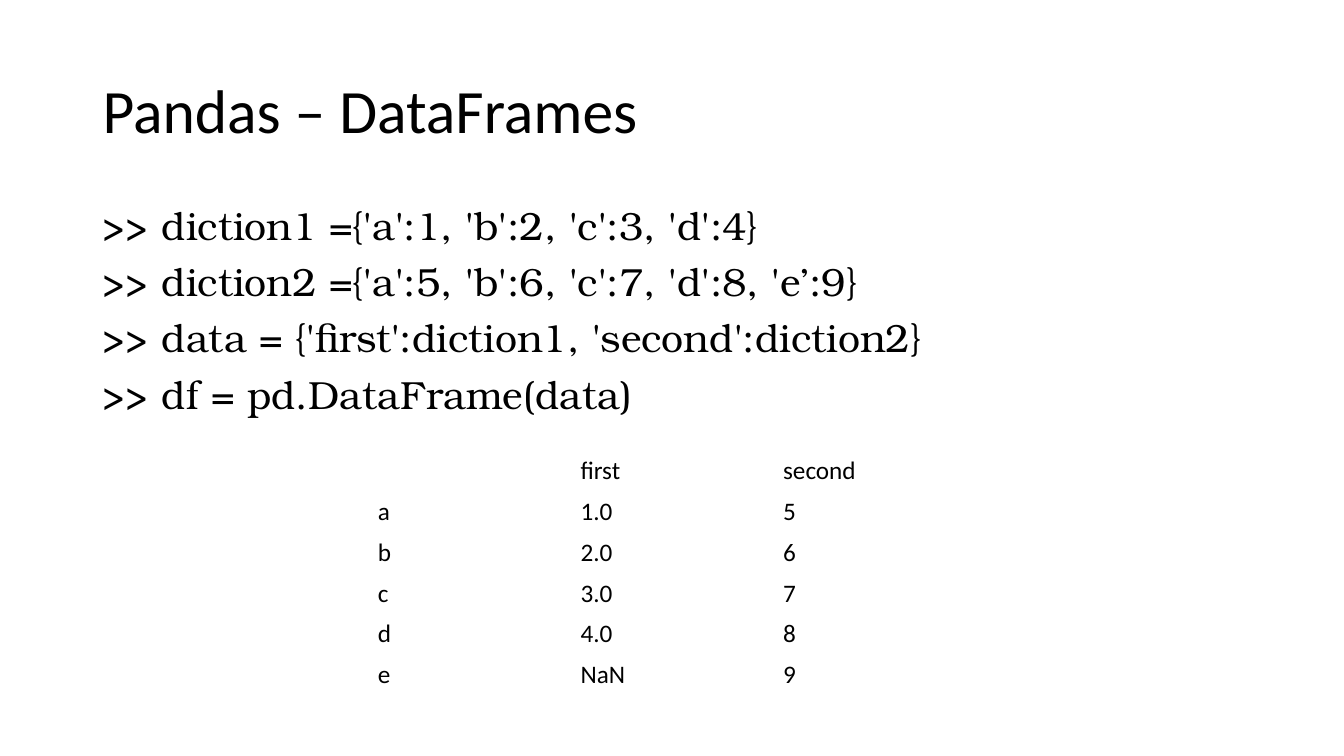
"""Build a slide on making a DataFrame from two dictionaries."""
from pptx import Presentation
from pptx.dml.color import RGBColor as Rgb
from pptx.enum.text import MSO_ANCHOR as Anchor, PP_ALIGN as Align
from pptx.util import Cm, Pt

COLORS = {"text": "000000"}
CODE = [
    ">> diction1 ={'a':1, 'b':2, 'c':3, 'd':4}",
    ">> diction2 ={'a':5, 'b':6, 'c':7, 'd':8, 'e’:9}",
    ">> data = {'first':diction1, 'second':diction2}",
    ">> df = pd.DataFrame(data)",
]
ROWS = [
    ("", "first", "second"),
    ("a", "1.0", "5"),
    ("b", "2.0", "6"),
    ("c", "3.0", "7"),
    ("d", "4.0", "8"),
    ("e", "NaN", "9"),
]


def style(para, face, size):
    para.alignment = Align.LEFT
    para.font.name = face
    para.font.size = Pt(size)
    para.font.color.rgb = Rgb.from_string(COLORS["text"])


deck = Presentation()
deck.slide_width, deck.slide_height = Cm(33.87), Cm(19.05)
slide = deck.slides.add_slide(deck.slide_layouts[5])

title = slide.shapes.title
title.left, title.top = Cm(2.33), Cm(1.01)
title.width, title.height = Cm(29.21), Cm(3.68)
title.text_frame.text = "Pandas – DataFrames"
title.text_frame.vertical_anchor = Anchor.MIDDLE
head = title.text_frame.paragraphs[0]
style(head, "Calibri", 44)
head.line_spacing = 0.9

body = slide.shapes.add_textbox(Cm(2.33), Cm(5.07), Cm(29.21), Cm(12.09))
frame = body.text_frame
frame.word_wrap = True
frame.text = "\n".join(CODE)
for para in frame.paragraphs:
    style(para, "TeX Gyre Bonum", 28)
    para.line_spacing = 0.9
    para.space_before = Pt(10)

grid = slide.shapes.add_table(
    len(ROWS), len(ROWS[0]), Cm(9.27), Cm(11.35), Cm(15.32), Cm(6.18)
).table
grid.first_row = False
grid.horz_banding = False
for r, row in enumerate(ROWS):
    for c, text in enumerate(row):
        cell = grid.cell(r, c)
        cell.fill.background()
        cell.text = text
        style(cell.text_frame.paragraphs[0], "Calibri", 18)

deck.save("out.pptx")
